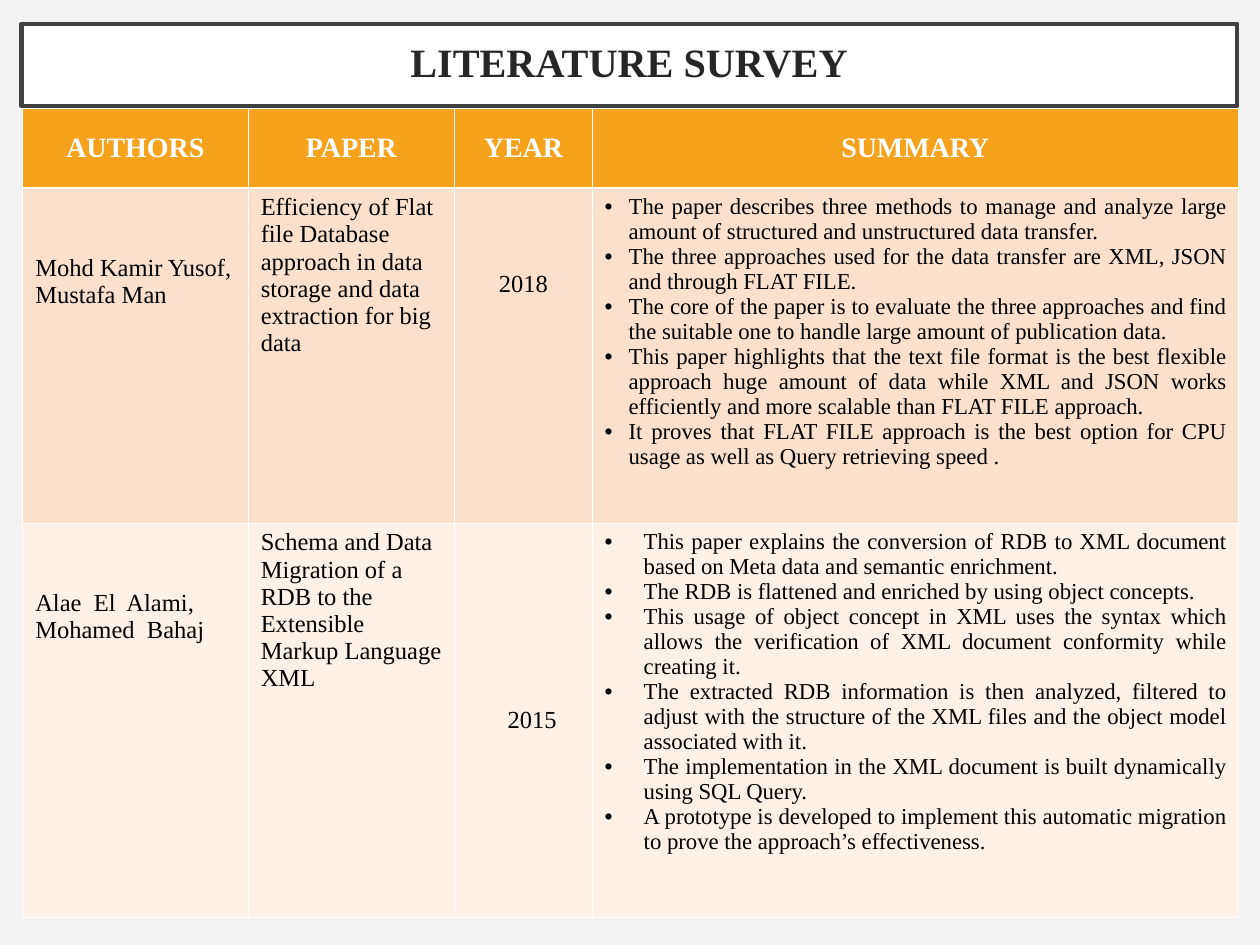
from dataclasses import dataclass

from lxml import etree
from pptx import Presentation
from pptx.dml.color import RGBColor
from pptx.enum.text import MSO_ANCHOR, MSO_AUTO_SIZE, PP_ALIGN
from pptx.oxml.ns import qn
from pptx.util import Inches, Pt

LEFT, CENTER, JUSTIFY = PP_ALIGN.LEFT, PP_ALIGN.CENTER, PP_ALIGN.JUSTIFY
TOP, MIDDLE = MSO_ANCHOR.TOP, MSO_ANCHOR.MIDDLE


@dataclass(frozen=True)
class Theme:
    font: str = "Times New Roman"
    background: str = "F2F2F2"
    white: str = "FFFFFF"
    black: str = "000000"
    title_text: str = "262626"
    title_frame: str = "404040"
    header_fill: str = "F6A21D"
    row_fills: tuple = ("FBE0CC", "FDF0E7")
    title_size: float = 23
    header_size: float = 16
    body_size: float = 14
    summary_size: float = 13
    thin: float = 0.45
    thick: float = 1.47


THEME = Theme()
HEADINGS = ("AUTHORS", "PAPER", "YEAR", "SUMMARY")
COLUMN_WIDTHS = (1.79, 1.64, 1.09, 5.13)
ROW_HEIGHTS = (0.63, 2.66, 3.13)
AUTHORS_TOP = 0.53

PAPERS = (
    {
        "authors": "Mohd Kamir Yusof, Mustafa Man",
        "paper": "Efficiency of Flat file Database approach in data storage "
                 "and data extraction for big data",
        "year": "2018",
        "year_format": {"top": 0.66},
        "indent": 0.19,
        "summary": (
            "The paper describes three methods to manage and analyze large amount of "
            "structured and unstructured data transfer.",
            "The three approaches used for the data transfer are XML, JSON and through "
            "FLAT FILE.",
            "The core of the paper is to evaluate the three approaches and find the "
            "suitable one to handle large amount of publication data.",
            "This paper highlights that the text file format is the best flexible "
            "approach huge amount of data while XML and JSON works efficiently and more "
            "scalable than FLAT FILE approach.",
            "It proves that FLAT FILE approach is the best option for CPU usage as well "
            "as Query retrieving speed .",
        ),
    },
    {
        "authors": "Alae  El  Alami, Mohamed  Bahaj",
        "paper": "Schema and Data Migration of a RDB to the Extensible Markup "
                 "Language XML",
        "year": "2015",
        "year_format": {"anchor": MIDDLE, "left": 0.24},
        "indent": 0.31,
        "summary": (
            "This paper explains the conversion of RDB to XML document based on Meta "
            "data and semantic enrichment.",
            "The RDB is flattened and enriched by using object concepts.",
            "This usage of object concept in XML uses the syntax which allows the "
            "verification of XML document conformity while creating it.",
            "The extracted RDB information is then analyzed, filtered to adjust with "
            "the structure of the XML files and the object model associated with it.",
            "The implementation in the XML document is built dynamically using SQL "
            "Query.",
            "A prototype is developed to implement this automatic migration to prove "
            "the approach’s effectiveness.",
        ),
    },
)


def rgb(color):
    return RGBColor.from_string(color)


def add_bullet(paragraph, indent):
    """Give the paragraph a round bullet with a hanging indent in inches."""
    properties = paragraph._p.get_or_add_pPr()
    properties.set("marL", str(Inches(indent)))
    properties.set("indent", str(-Inches(indent)))
    bullet_color = etree.SubElement(properties, qn("a:buClr"))
    etree.SubElement(bullet_color, qn("a:srgbClr"), val=THEME.black)
    etree.SubElement(properties, qn("a:buFont"), typeface="Arial")
    etree.SubElement(properties, qn("a:buChar"), char="•")


def write_text(frame, *texts, size=THEME.body_size, color=THEME.black, bold=False,
               align=LEFT, indent=None, line_spacing=None):
    """Write one paragraph per text; an indent makes them bullets."""
    for index, text in enumerate(texts):
        paragraph = frame.add_paragraph() if index else frame.paragraphs[0]
        paragraph.alignment = align
        if line_spacing:
            paragraph.line_spacing = line_spacing
        if indent:
            add_bullet(paragraph, indent)
        run = paragraph.add_run()
        run.text = text
        run.font.name = THEME.font
        run.font.size = Pt(size)
        run.font.bold = bold
        run.font.color.rgb = rgb(color)


def set_borders(cell, **widths):
    """Draw white cell borders with widths in points."""
    properties = cell._tc.get_or_add_tcPr()
    for side in ("lnL", "lnR", "lnT", "lnB"):
        width = Pt(widths.get(side, THEME.thin))
        line = etree.SubElement(properties, qn(f"a:{side}"), w=str(width))
        fill = etree.SubElement(line, qn("a:solidFill"))
        etree.SubElement(fill, qn("a:srgbClr"), val=THEME.white)


def fill_cell(cell, *texts, fill, borders, anchor=TOP, top=0.05, left=0.1, **text_format):
    set_borders(cell, **borders)
    cell.fill.solid()
    cell.fill.fore_color.rgb = rgb(fill)
    cell.vertical_anchor = anchor
    cell.margin_top = Inches(top)
    cell.margin_left = Inches(left)
    write_text(cell.text_frame, *texts, **text_format)


def add_title(slide, text):
    title = slide.shapes.title
    title.left, title.top = Inches(0.17), Inches(0.19)
    title.width, title.height = Inches(9.65), Inches(0.65)
    title.fill.solid()
    title.fill.fore_color.rgb = rgb(THEME.white)
    title.line.color.rgb = rgb(THEME.title_frame)
    title.line.width = Pt(2.5)
    frame = title.text_frame
    frame.auto_size = MSO_AUTO_SIZE.NONE
    frame.word_wrap = True
    frame.vertical_anchor = MIDDLE
    frame.margin_left = frame.margin_right = Inches(0.2)
    frame.margin_top = frame.margin_bottom = Inches(0.2)
    write_text(frame, text, size=THEME.title_size, color=THEME.title_text, bold=True,
               align=CENTER, line_spacing=0.9)


def add_survey_table(slide):
    table = slide.shapes.add_table(
        len(ROW_HEIGHTS), len(COLUMN_WIDTHS), Inches(0.18), Inches(0.86),
        Inches(sum(COLUMN_WIDTHS)), Inches(sum(ROW_HEIGHTS))).table
    table.horz_banding = False
    for column, width in zip(table.columns, COLUMN_WIDTHS):
        column.width = Inches(width)
    for row, height in zip(table.rows, ROW_HEIGHTS):
        row.height = Inches(height)

    for cell, heading in zip(table.rows[0].cells, HEADINGS):
        fill_cell(cell, heading, fill=THEME.header_fill, borders={"lnB": THEME.thick},
                  anchor=MIDDLE, size=THEME.header_size, color=THEME.white, bold=True,
                  align=CENTER)

    for index, entry in enumerate(PAPERS):
        authors, paper, year, summary = table.rows[index + 1].cells
        look = {"fill": THEME.row_fills[index],
                "borders": {} if index else {"lnT": THEME.thick}}
        fill_cell(authors, entry["authors"], top=AUTHORS_TOP, **look)
        fill_cell(paper, entry["paper"], **look)
        fill_cell(year, entry["year"], align=CENTER, **entry["year_format"], **look)
        fill_cell(summary, *entry["summary"], size=THEME.summary_size, align=JUSTIFY,
                  indent=entry["indent"], **look)


def main():
    deck = Presentation()
    deck.slide_width, deck.slide_height = Inches(10), Inches(7.5)
    slide = deck.slides.add_slide(deck.slide_layouts[5])
    slide.background.fill.solid()
    slide.background.fill.fore_color.rgb = rgb(THEME.background)
    add_title(slide, "LITERATURE SURVEY")
    add_survey_table(slide)
    deck.save("out.pptx")


if __name__ == "__main__":
    main()
